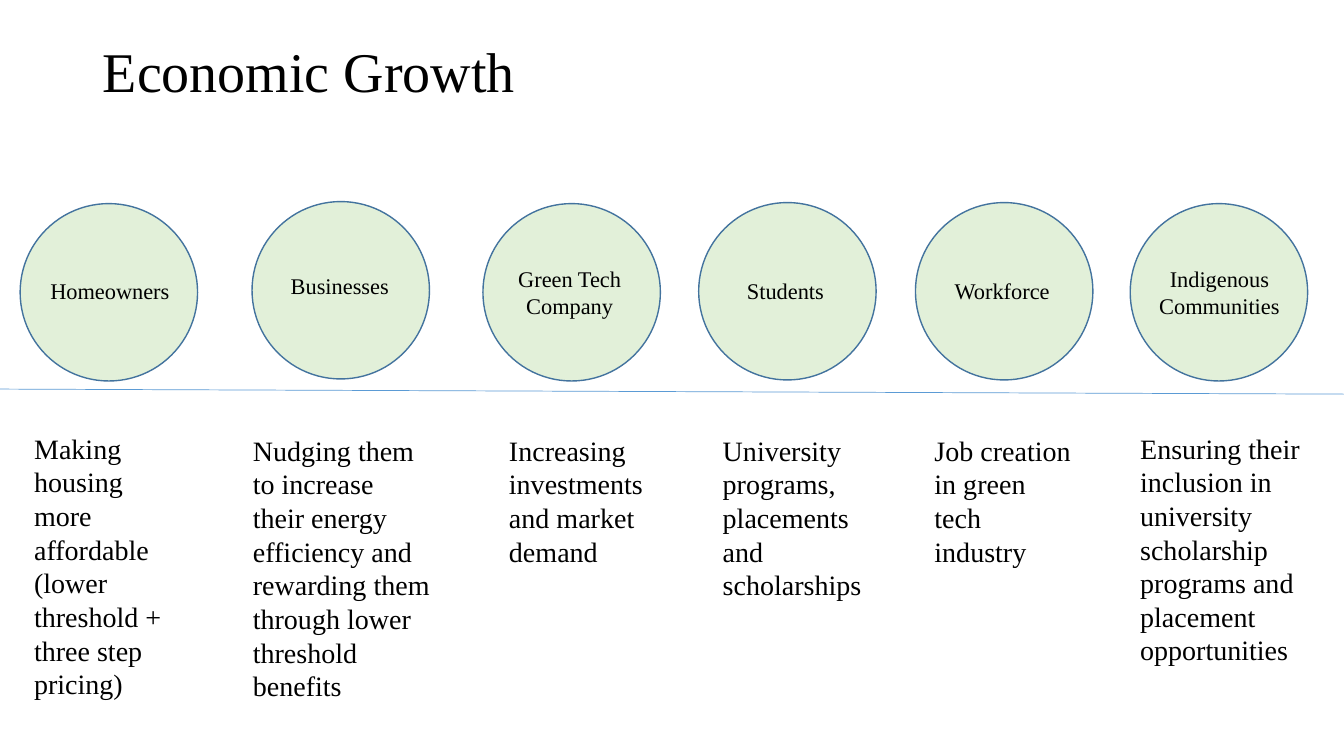
from lxml import etree
from pptx import Presentation
from pptx import util as u
from pptx.dml.color import RGBColor
from pptx.enum import shapes, text
from pptx.oxml.ns import qn

BLACK = RGBColor(0x00, 0x00, 0x00)
PALE_GREEN = RGBColor(0xE2, 0xF0, 0xD9)
OUTLINE_BLUE = RGBColor(0x43, 0x73, 0x9E)
LINE_BLUE = RGBColor(0x5B, 0x9B, 0xD5)

DIAMETER = 1.76
TITLE_ONLY = 5

# Each group: circle (left, top), label text and box, benefit text and box
GROUPS = [
    ((0.2, 2.02), "Homeowners", (0.39, 2.7, 1.4, 0.37),
     "Making housing more affordable (lower threshold + three step pricing)",
     (0.24, 4.23, 1.53, 2.79)),
    ((2.5, 2.0), "Businesses", (2.67, 2.65, 1.4, 0.37),
     "Nudging them to increase their energy efficiency and rewarding them "
     "through lower threshold benefits",
     (2.41, 4.25, 1.96, 2.79)),
    ((4.79, 2.02), "Green Tech Company", (4.95, 2.58, 1.4, 0.64),
     "Increasing investments and market demand",
     (4.95, 4.25, 1.57, 1.45)),
    ((6.93, 2.01), "Students", (7.09, 2.7, 1.4, 0.37),
     "University programs, placements and scholarships",
     (7.07, 4.25, 1.63, 1.78)),
    ((9.08, 2.01), "Workforce", (9.24, 2.7, 1.4, 0.37),
     "Job creation in green tech industry",
     (9.17, 4.25, 1.57, 1.45)),
    ((11.21, 2.02), "Indigenous Communities", (11.38, 2.58, 1.43, 0.64),
     "Ensuring their inclusion in university scholarship programs and "
     "placement opportunities",
     (11.21, 4.23, 1.95, 2.46)),
]


def apply(target, **formats):
    """Set each named attribute of target."""
    for name, value in formats.items():
        setattr(target, name, value)


def inches(*lengths):
    return [u.Inches(length) for length in lengths]


class SlideBuilder:
    """Holds the slide and its text style."""

    font_name = "Times New Roman"
    font_color = BLACK

    def __init__(self, slide):
        self.slide = slide

    def add_words(self, shape, words, size, **paragraph_formats):
        paragraph = shape.text_frame.paragraphs[0]
        apply(paragraph, **paragraph_formats)
        run = paragraph.add_run()
        run.text = words
        apply(run.font, name=self.font_name, size=u.Pt(size))
        run.font.color.rgb = self.font_color

    def title(self, words, box):
        shape = self.slide.shapes.title
        apply(shape, **dict(zip(("left", "top", "width", "height"), inches(*box))))
        apply(shape.text_frame, word_wrap=True,
              vertical_anchor=text.MSO_ANCHOR.MIDDLE)
        self.add_words(shape, words, 40, alignment=text.PP_ALIGN.LEFT,
                       line_spacing=0.9)

    def circle(self, left, top):
        shape = self.slide.shapes.add_shape(
            shapes.MSO_SHAPE.OVAL, *inches(left, top, DIAMETER, DIAMETER))
        shape.shadow.inherit = False
        shape.fill.solid()
        shape.fill.fore_color.rgb = PALE_GREEN
        shape.line.color.rgb = OUTLINE_BLUE
        shape.line.width = u.Pt(1)

    def line(self, start, end):
        connector = self.slide.shapes.add_connector(
            shapes.MSO_CONNECTOR.STRAIGHT, *inches(*start, *end))
        connector.line.color.rgb = LINE_BLUE
        connector.line.width = u.Pt(0.5)
        etree.SubElement(connector.element.spPr, qn("a:effectLst"))

    def text_box(self, words, box, size, alignment):
        shape = self.slide.shapes.add_textbox(*inches(*box))
        apply(shape.text_frame, word_wrap=True,
              auto_size=text.MSO_AUTO_SIZE.SHAPE_TO_FIT_TEXT)
        self.add_words(shape, words, size, alignment=alignment)


def main():
    presentation = Presentation()
    apply(presentation, slide_width=u.Inches(13.33), slide_height=u.Inches(7.5))
    layout = presentation.slide_layouts[TITLE_ONLY]
    builder = SlideBuilder(presentation.slides.add_slide(layout))

    builder.title("Economic Growth", (0.92, 0.4, 11.5, 0.68))
    builder.line((0, 3.86), (13.33, 3.91))
    for corner, label, label_box, benefit, benefit_box in GROUPS:
        builder.circle(*corner)
        builder.text_box(label, label_box, 16, text.PP_ALIGN.CENTER)
        builder.text_box(benefit, benefit_box, 20, text.PP_ALIGN.LEFT)

    presentation.save("out.pptx")


if __name__ == "__main__":
    main()
